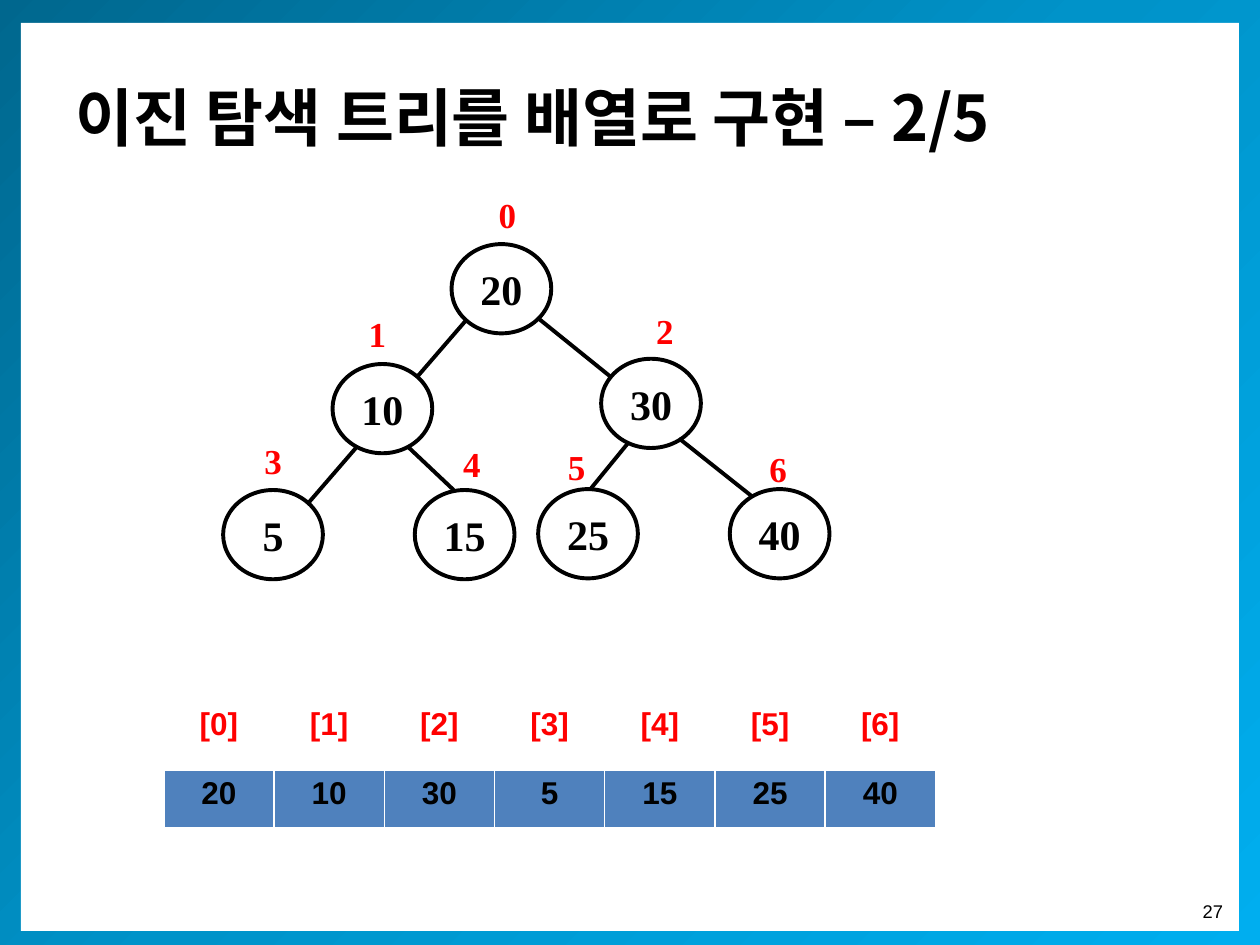
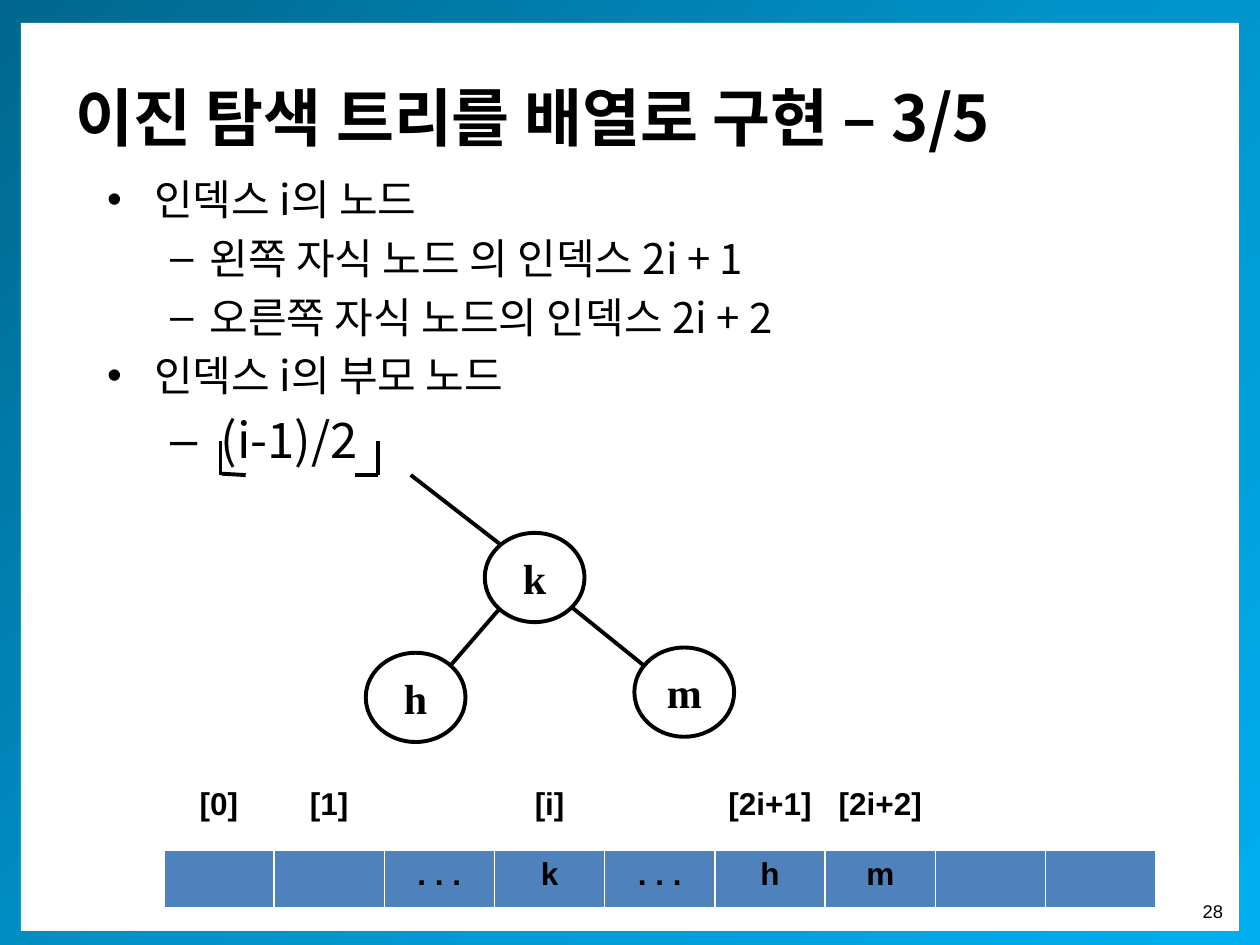
from copy import deepcopy
from dataclasses import dataclass

from lxml.etree import SubElement
from pptx import Presentation
from pptx.dml.color import RGBColor
from pptx.enum.shapes import MSO_CONNECTOR, MSO_SHAPE
from pptx.enum.text import MSO_ANCHOR, MSO_AUTO_SIZE, PP_ALIGN
from pptx.oxml.ns import qn
from pptx.util import Pt

# Content: tree positions are relative to the root node
TITLE = "이진 탐색 트리를 배열로 구현 – {}/5"
ROOT_SPOTS = [(0, 0), (-68, 68.5), (85.5, 65.5)]
LEAF_SPOTS = [(-130.5, 140.5), (-21, 140.5), (49.5, 140), (159, 140)]
ROOT_EDGES = [(8.6, 43.2, -19.4, 75.6), (49.7, 42.5, 90.7, 75.6)]
LEAF_EDGES = [(-54.2, 116, -82.3, 148.5), (-24.7, 116, 1.2, 140.5),
              (101.3, 113.2, 79, 140.5), (130, 111, 171.8, 144.2)]
PARENT_EDGE = (-42.3, -33.1, 8.8, 6.5)
LABEL_SPOTS = [(14.9, -32.2), (-59.3, 35.5), (104.9, 34), (-119, 108.2),
               (-5.3, 109.6), (54.5, 111.8), (169.7, 112.5)]
FLOOR_BRACKETS = [(216, 252, 216, 271.5), (203, 271.5, 216, 271.5),
                  (126, 252, 126, 271.5), (126.7, 270.7, 140.4, 271.5)]
# Level, text size, left margin, hanging indent, text
BULLETS = [
    (0, 24, 27, -27, "인덱스 i의 노드"),
    (1, 24, 58.5, -22.5, "왼쪽 자식 노드 의 인덱스 2i + 1"),
    (1, 24, 58.5, -22.5, "오른쪽 자식 노드의 인덱스 2i + 2"),
    (0, 24, 27, -27, "인덱스 i의 부모 노드"),
    (1, 28, 65, -29, "(i-1)/2"),
]
KEYS = ["20", "10", "30", "5", "15", "25", "40"]
SLIDES = [
    dict(layout=5, part=2, page="27", root=(258, 139.5), nodes=KEYS,
         edges=ROOT_EDGES + LEAF_EDGES, labels=list("0123456"), bullets=[],
         brackets=[], array_top=440, array=KEYS, index_color="FF0000",
         index=[f"[{i}]" for i in range(7)]),
    dict(layout=1, part=3, page="28", root=(277, 304.5),
         nodes=["k", "h", "m"], edges=ROOT_EDGES + [PARENT_EDGE], labels=[],
         bullets=BULLETS, brackets=FLOOR_BRACKETS, array_top=486,
         array=["", "", ". . .", "k", ". . .", "h", "m", "", ""],
         index_color="000000",
         index=["[0]", "[1]", "", "[i]", "", "[2i+1]", "[2i+2]", "", ""]),
]


# Theme
@dataclass(frozen=True)
class Theme:
    ink: str = "000000"
    red: str = "FF0000"
    white: str = "FFFFFF"
    cell: str = "4F81BD"
    frame: tuple = ((0, "00678E"), (0.5, "0093C9"), (1, "00AEEF"))
    korean: str = "Noto Sans CJK KR"
    serif: str = "Times New Roman"
    sans: str = "Arial"
    title: float = 36
    node: float = 24
    label: float = 20
    array: float = 18
    page: float = 10.5
    line: float = 2.25


T = Theme()
NODE_W, NODE_H = 57, 51
CELL_W, CELL_H = 63, 33.8
ARRAY_LEFT, INDEX_RISE = 93.6, 39.7


def apply(target, **values):
    for name, value in values.items():
        setattr(target, name, value)


def box(*lengths):
    return [Pt(v) for v in lengths]


def write(p, text, size, font, color=T.ink, bold=True, align=PP_ALIGN.CENTER):
    p.alignment = align
    r = p.add_run()
    r.text = text
    apply(r.font, size=Pt(size), name=font, bold=bold)
    r.font.color.rgb = RGBColor.from_string(color)
    SubElement(r.font._element, qn("a:ea"), typeface=font)


def place(sp, left, top, width, height):
    apply(sp, left=Pt(left), top=Pt(top), width=Pt(width), height=Pt(height))


# Shared frame, title and page number
def add_band(s, depth, *bounds):
    sp = s.shapes.add_shape(MSO_SHAPE.RECTANGLE, *box(*bounds))
    sp.shadow.inherit = False
    sp.line.fill.background()
    sp.element.getparent().insert(2 + depth, sp.element)
    return sp


def add_frame(s, page):
    fill = add_band(s, 0, 0, -3, 720, 546).fill
    fill.gradient()
    fill.gradient_angle = 315
    stops = s.shapes[0].element.find(".//" + qn("a:gsLst"))
    stops.append(deepcopy(stops[0]))
    for stop, (position, color) in zip(fill.gradient_stops, T.frame):
        stop.position = position
        stop.color.rgb = RGBColor.from_string(color)
    panel = add_band(s, 1, 12, 13, 696, 519)
    panel.fill.solid()
    panel.fill.fore_color.rgb = RGBColor.from_string(T.white)
    add_text(s, box(678, 511, 28, 20), page, T.page, T.sans,
             bold=False, align=PP_ALIGN.RIGHT, wrap=False)


def add_text(s, bounds, text, size, font, wrap=True, **style):
    tf = s.shapes.add_textbox(*bounds).text_frame
    tf.word_wrap = wrap
    write(tf.paragraphs[0], text, size, font, **style)


def set_title(s, part):
    place(s.shapes.title, 36, 21.6, 648, 90)
    tf = s.shapes.title.text_frame
    apply(tf, vertical_anchor=MSO_ANCHOR.MIDDLE, auto_size=MSO_AUTO_SIZE.NONE)
    write(tf.paragraphs[0], TITLE.format(part), T.title, T.korean,
          align=PP_ALIGN.LEFT)


def set_bullets(s, bullets):
    body = s.placeholders[1]
    place(body, 54, 95.5, 618, 430)
    tf = body.text_frame
    tf.auto_size = MSO_AUTO_SIZE.NONE
    for i, (level, size, margin, indent, text) in enumerate(bullets):
        p = tf.add_paragraph() if i else tf.paragraphs[0]
        apply(p, level=level, line_spacing=Pt(1.2 * size),
              space_before=Pt(0.2 * size if i else 0))
        pPr = p._p.get_or_add_pPr()
        pPr.set("marL", str(Pt(margin)))
        pPr.set("indent", str(Pt(indent)))
        write(p, text, size, T.korean, bold=False, align=PP_ALIGN.LEFT)


# Tree
def add_line(shapes, x1, y1, x2, y2):
    line = shapes.add_connector(MSO_CONNECTOR.STRAIGHT, *box(x1, y1, x2, y2))
    line.line.width = Pt(T.line)
    line.line.color.rgb = RGBColor.from_string(T.ink)
    SubElement(line.element.spPr, qn("a:effectLst"))


def add_node(s, x, y, key):
    sp = s.shapes.add_shape(MSO_SHAPE.OVAL, *box(x, y, NODE_W, NODE_H))
    sp.shadow.inherit = False
    sp.fill.background()
    sp.line.width = Pt(T.line)
    sp.line.color.rgb = RGBColor.from_string(T.ink)
    apply(sp.text_frame, word_wrap=False, vertical_anchor=MSO_ANCHOR.MIDDLE)
    write(sp.text_frame.paragraphs[0], key, T.node, T.serif)


def add_tree(s, root, nodes, edges, labels):
    x0, y0 = root
    for key, (x, y) in zip(nodes, ROOT_SPOTS + LEAF_SPOTS):
        add_node(s, x0 + x, y0 + y, key)
    for x1, y1, x2, y2 in edges:
        add_line(s.shapes, x0 + x1, y0 + y1, x0 + x2, y0 + y2)
    for label, (x, y) in zip(labels, LABEL_SPOTS):
        add_text(s, box(x0 + x, y0 + y, 34, 31.5), label, T.label, T.serif,
                 color=T.red)


# Array tables
def set_borders(cell):
    tcPr = cell._tc.get_or_add_tcPr()
    for i, (side, width) in enumerate(
            [("a:lnL", 1), ("a:lnR", 1), ("a:lnT", 1), ("a:lnB", 3)]):
        ln = tcPr.makeelement(qn(side), {"w": str(Pt(width))})
        fill = SubElement(ln, qn("a:solidFill"))
        SubElement(fill, qn("a:srgbClr"), val=T.white)
        tcPr.insert(i, ln)


def add_row(s, top, texts, color=T.ink, fill=None):
    bounds = box(ARRAY_LEFT, top, CELL_W * len(texts), CELL_H)
    table = s.shapes.add_table(1, len(texts), *bounds).table
    apply(table, first_row=False, horz_banding=False)
    for cell, text in zip(table.iter_cells(), texts):
        if fill:
            cell.fill.solid()
            cell.fill.fore_color.rgb = RGBColor.from_string(fill)
        else:
            cell.fill.background()
        set_borders(cell)
        if text:
            write(cell.text_frame.paragraphs[0], text, T.array, T.sans, color)


def main():
    prs = Presentation()
    apply(prs, slide_width=Pt(720), slide_height=Pt(540))
    for d in SLIDES:
        s = prs.slides.add_slide(prs.slide_layouts[d["layout"]])
        add_frame(s, d["page"])
        set_title(s, d["part"])
        if d["bullets"]:
            set_bullets(s, d["bullets"])
        if d["brackets"]:
            group = s.shapes.add_group_shape()
            for bracket in d["brackets"]:
                add_line(group.shapes, *bracket)
        add_tree(s, d["root"], d["nodes"], d["edges"], d["labels"])
        add_row(s, d["array_top"], d["array"], fill=T.cell)
        add_row(s, d["array_top"] - INDEX_RISE, d["index"], d["index_color"])
    prs.save("out.pptx")


if __name__ == "__main__":
    main()
